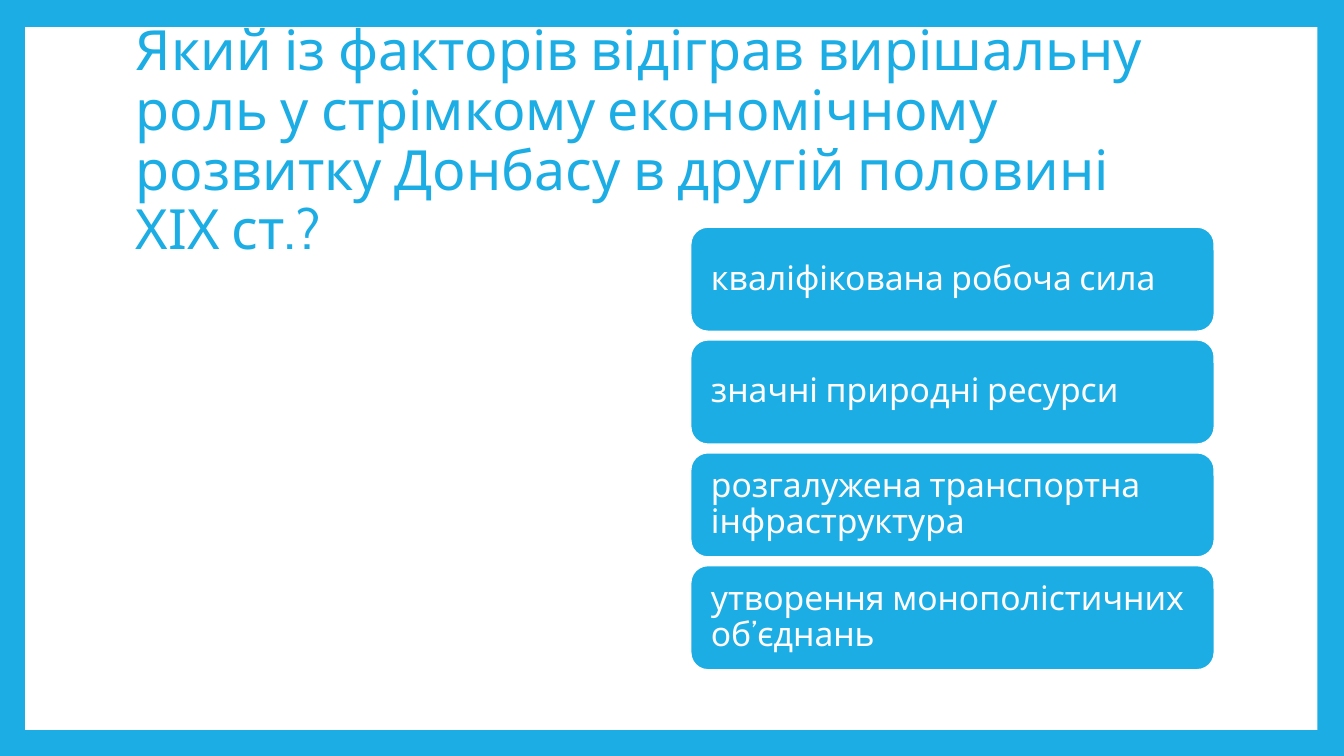
"""Builds a quiz slide: one question and four answer cards."""
from dataclasses import dataclass

from pptx import Presentation
from pptx.dml.color import RGBColor
from pptx.enum.shapes import MSO_SHAPE as Shape
from pptx.enum.text import MSO_ANCHOR as Anchor, PP_ALIGN as Align
from pptx.util import Pt

QUESTION = ("Який із факторів відіграв вирішальну роль у стрімкому економічному "
            "розвитку Донбасу в другій половині ХІХ ст.?")
ANSWERS = [
    "кваліфікована робоча сила",
    "значні природні ресурси",
    "розгалужена транспортна інфраструктура",
    "утворення монополістичних об’єднань",
]


@dataclass(frozen=True)
class Theme:
    blue: RGBColor = RGBColor(0x1C, 0xAD, 0xE4)
    white: RGBColor = RGBColor(0xFF, 0xFF, 0xFF)
    font: str = "Cabin"
    question_size: float = 39.6
    answer_size: float = 24
    line_spacing: float = 0.9


THEME = Theme()
SLIDE_SIZE = (960, 540)
PANEL = (18, 19.4, 923, 502)
QUESTION_BOX = (90, 48.2, 777.6, 106.6)
CARD_LEFT, CARD_TOP, CARD_WIDTH, CARD_HEIGHT = 493.2, 162, 374.4, 74.9
CARD_PITCH = 80.6
QUESTION_INSET, CARD_INSET = 7.2, 11


def add_block(slide, kind, box, fill):
    block = slide.shapes.add_shape(kind, *map(Pt, box))
    block.shadow.inherit = False
    block.fill.solid()
    block.fill.fore_color.rgb = fill
    block.line.fill.background()
    return block


def write(holder, text, size, color, inset):
    frame = holder.text_frame
    frame.word_wrap = True
    frame.vertical_anchor = Anchor.MIDDLE
    frame.margin_left = frame.margin_right = Pt(inset)
    paragraph = frame.paragraphs[0]
    paragraph.text = text
    paragraph.alignment = Align.LEFT
    paragraph.line_spacing = THEME.line_spacing
    paragraph.font.name = THEME.font
    paragraph.font.size = Pt(size)
    paragraph.font.color.rgb = color


def main():
    deck = Presentation()
    deck.slide_width, deck.slide_height = map(Pt, SLIDE_SIZE)
    slide = deck.slides.add_slide(deck.slide_layouts[6])
    slide.background.fill.solid()
    slide.background.fill.fore_color.rgb = THEME.blue

    add_block(slide, Shape.RECTANGLE, PANEL, THEME.white)
    question = slide.shapes.add_textbox(*map(Pt, QUESTION_BOX))
    write(question, QUESTION, THEME.question_size, THEME.blue, QUESTION_INSET)

    for row, answer in enumerate(ANSWERS):
        box = (CARD_LEFT, CARD_TOP + row * CARD_PITCH, CARD_WIDTH, CARD_HEIGHT)
        card = add_block(slide, Shape.ROUNDED_RECTANGLE, box, THEME.blue)
        card.line.color.rgb = THEME.white
        card.line.width = Pt(1.5)
        write(card, answer, THEME.answer_size, THEME.white, CARD_INSET)

    deck.save("out.pptx")


if __name__ == "__main__":
    main()
